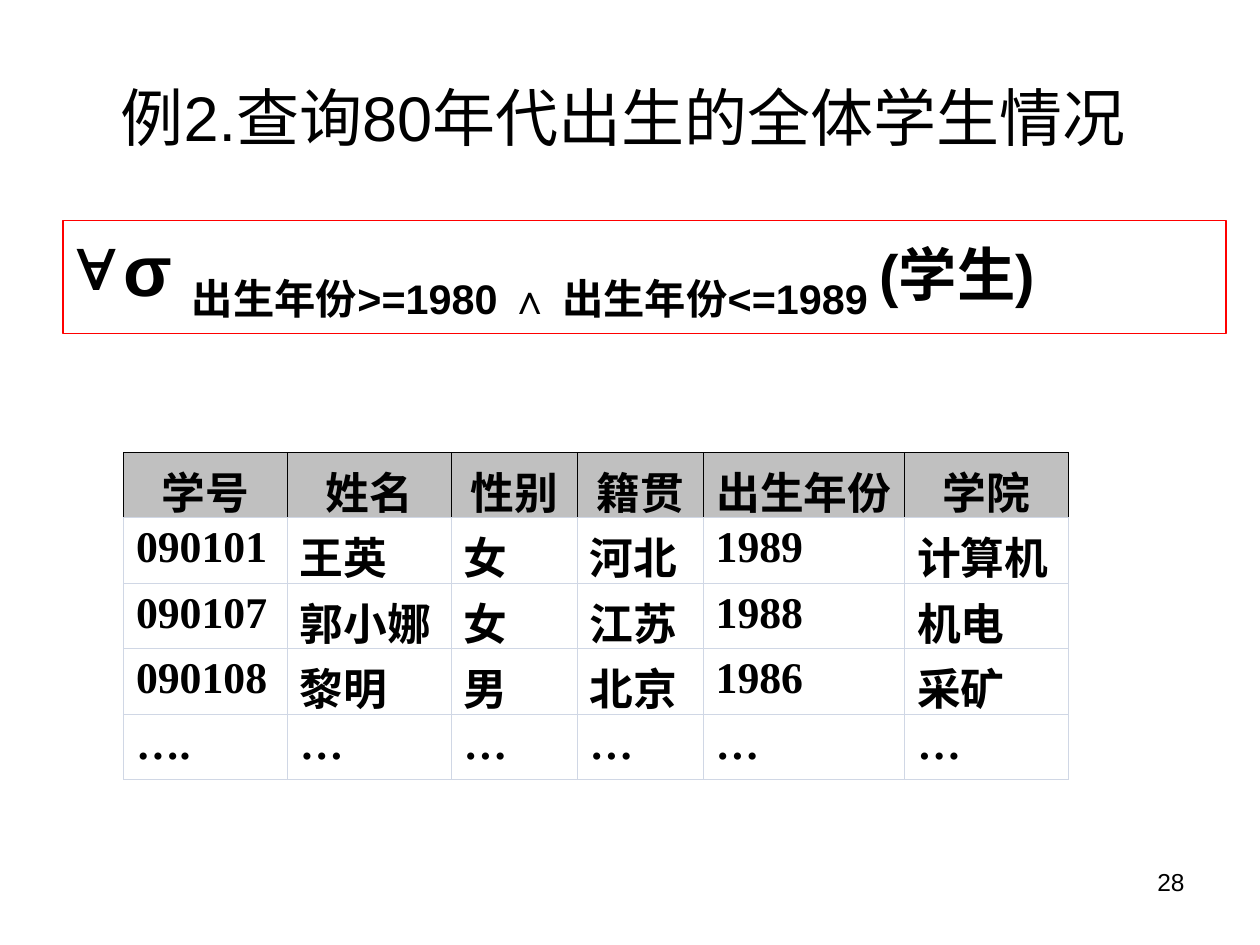
from lxml import etree
from pptx import Presentation, util as u
from pptx.dml.color import RGBColor
from pptx.enum import text as t
from pptx.oxml import ns

BLACK = RGBColor(0, 0, 0)
WHITE = RGBColor(255, 255, 255)
RED = RGBColor(255, 0, 0)
HEADER_GREY = RGBColor(0xC0, 0xC0, 0xC0)
GRID_BLUE = RGBColor(0xD0, 0xD7, 0xE5)

WIDTH, HEIGHT = u.Inches(10), u.Inches(7.5)

STUDENTS = [
    ["学号", "姓名", "性别", "籍贯", "出生年份", "学院"],
    ["090101", "王英", "女", "河北", "1989", "计算机"],
    ["090107", "郭小娜", "女", "江苏", "1988", "机电"],
    ["090108", "黎明", "男", "北京", "1986", "采矿"],
    ["….", "…", "…", "…", "…", "…"],
]
COLUMN_WIDTHS = [1.3, 1.3, 1, 1, 1.6, 1.3]
ROW_HEIGHT = 0.52


def box(left, top, width, height):
    return [u.Inches(length) for length in (left, top, width, height)]


def write(paragraph, words, size, font="Arial", bold=False, baseline=None, align=None):
    """Add one formatted run to a paragraph."""
    run = paragraph.add_run()
    run.text = words
    run.font.size = u.Pt(size)
    run.font.name = font
    run.font.bold = bold
    run.font.color.rgb = BLACK
    if baseline is not None:
        run.font._element.set("baseline", str(baseline * 1000))
    if align is not None:
        paragraph.alignment = align


def place(placeholder, area, anchor):
    placeholder.left, placeholder.top, placeholder.width, placeholder.height = area
    frame = placeholder.text_frame
    frame.auto_size = t.MSO_AUTO_SIZE.NONE
    frame.vertical_anchor = anchor
    return frame.paragraphs[0]


def add_title(slide, area):
    heading = place(slide.shapes.title, area, t.MSO_ANCHOR.MIDDLE)
    write(heading, "例2.查询80年代出生的全体学生情况 ", 36, align=t.PP_ALIGN.CENTER)


def add_query(slide, area):
    query = slide.placeholders[1]
    formula = place(query, area, t.MSO_ANCHOR.TOP)
    query.line.color.rgb = RED
    query.line.width = u.Pt(0.75)

    # The ∀ sign stands as the bullet, with a hanging indent
    properties = formula._p.get_or_add_pPr()
    properties.set("marL", str(u.Inches(0.38)))
    properties.set("indent", str(-u.Inches(0.38)))
    formula.line_spacing = 0.9
    formula.space_before = u.Pt(0)
    colour = etree.SubElement(properties, ns.qn("a:buClr"))
    etree.SubElement(colour, ns.qn("a:srgbClr"), val=str(BLACK))
    etree.SubElement(properties, ns.qn("a:buChar"), char="∀")

    write(formula, "σ ", 40.7, bold=True)
    write(formula, "出生年份>=1980 ∧ 出生年份<=1989 ", 40.7, bold=True, baseline=-25)
    write(formula, "(学生)", 33.3, bold=True, baseline=0)


def set_borders(cell, **colours):
    """Draw the left, right, top and bottom borders, in that order."""
    properties = cell._tc.get_or_add_tcPr()
    for place_in_order, (side, colour) in enumerate(colours.items()):
        line = etree.Element(ns.qn("a:ln" + side), w=str(u.Pt(0.45)))
        fill = etree.SubElement(line, ns.qn("a:solidFill"))
        etree.SubElement(fill, ns.qn("a:srgbClr"), val=str(colour))
        properties.insert(place_in_order, line)


def add_student_table(slide, area):
    students = slide.shapes.add_table(len(STUDENTS), len(COLUMN_WIDTHS), *area).table
    for column, width in zip(students.columns, COLUMN_WIDTHS):
        column.width = u.Inches(width)
    for row, values in enumerate(STUDENTS):
        students.rows[row].height = u.Inches(ROW_HEIGHT)
        header = row == 0
        edge = BLACK if header else GRID_BLUE
        for column, value in enumerate(values):
            cell = students.cell(row, column)
            cell.fill.solid()
            cell.fill.fore_color.rgb = HEADER_GREY if header else WHITE
            cell.vertical_anchor = t.MSO_ANCHOR.MIDDLE if header else t.MSO_ANCHOR.TOP
            set_borders(cell, L=edge, R=edge, T=edge, B=GRID_BLUE)
            write(cell.text_frame.paragraphs[0], value, 25, "Times New Roman", bold=True,
                  align=t.PP_ALIGN.CENTER if header else t.PP_ALIGN.LEFT)


def add_page_number(slide, area):
    frame = slide.shapes.add_textbox(*area).text_frame
    frame.word_wrap = True
    write(frame.paragraphs[0], "28", 14, align=t.PP_ALIGN.RIGHT)


def main():
    deck = Presentation()
    deck.slide_width, deck.slide_height = WIDTH, HEIGHT
    slide = deck.slides.add_slide(deck.slide_layouts[1])
    add_page_number(slide, box(7.17, 6.83, 2.33, 0.52))
    add_title(slide, box(0.5, 0.3, 9, 1.25))
    add_query(slide, box(0.5, 1.75, 9.23, 0.9))
    add_student_table(slide, box(0.98, 3.59, sum(COLUMN_WIDTHS), ROW_HEIGHT * len(STUDENTS)))
    deck.save("out.pptx")


if __name__ == "__main__":
    main()
